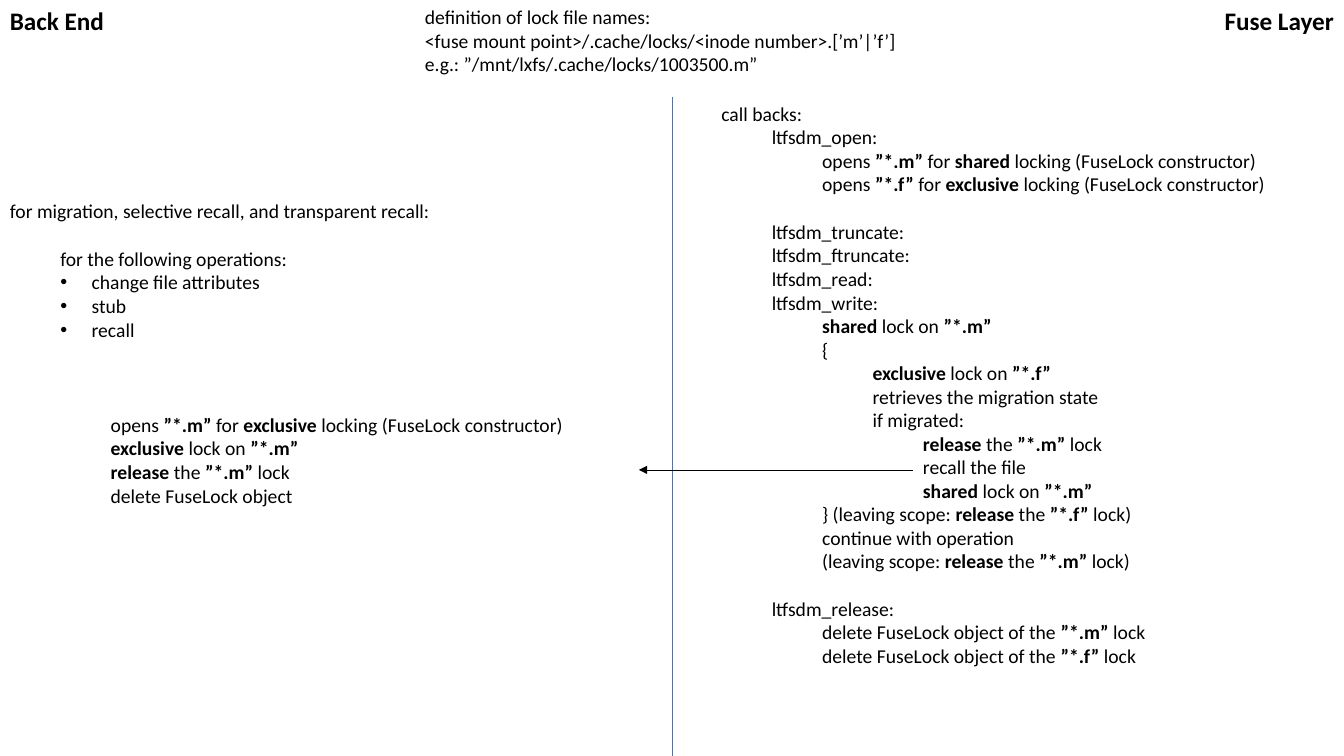
from dataclasses import dataclass

from pptx import Presentation
from pptx.dml.color import RGBColor
from pptx.enum.shapes import MSO_CONNECTOR as Link
from pptx.enum.text import MSO_AUTO_SIZE as Fit
from pptx.oxml.ns import qn
from pptx.oxml.xmlchemy import OxmlElement as Tag
from pptx.util import Cm, Pt

BLACK = RGBColor(0x00, 0x00, 0x00)
BLUE = RGBColor(0x44, 0x72, 0xC4)
FONT = "Calibri"
STEP = 1.27  # indent per level, cm
HANG = 0.79  # bullet indent, cm
ROW = 17.1  # height of one text row, pt
BOLD = "~"  # switches bold on and off


@dataclass
class Line:
    text: str
    level: int = 0
    gap: int = 0  # free rows above
    dot: bool = False


@dataclass
class Block:
    left: float
    top: float
    width: float
    height: float
    lines: list[Line]
    size: int = 14
    bold: bool = False
    wrap: bool = True


@dataclass
class Rule:
    start: tuple[float, float]
    end: tuple[float, float]
    color: RGBColor
    arrow: bool = False


BLOCKS = [
    # Headings
    Block(0, 0, 2.92, 1.02, [Line("Back End")], 18, True, False),
    Block(30.61, 0, 3.3, 1.02, [Line("Fuse Layer")], 18, True, False),
    # Lock file names
    Block(10.46, 0, 12.55, 2.06, [
        Line("definition of lock file names:"),
        Line("<fuse mount point>/.cache/locks/<inode number>.[’m’|’f’]"),
        Line("e.g.: ”/mnt/lxfs/.cache/locks/1003500.m”"),
    ]),
    # Fuse layer
    Block(17.93, 2.44, 15.95, 16.41, [
        Line("call backs:"),
        Line("ltfsdm_open:", 1),
        Line("opens ~”*.m”~ for ~shared~ locking (FuseLock constructor)", 2),
        Line("opens ~”*.f”~ for ~exclusive~ locking (FuseLock constructor)", 2),
        Line("ltfsdm_truncate:", 1, gap=1),
        Line("ltfsdm_ftruncate:", 1),
        Line("ltfsdm_read:", 1),
        Line("ltfsdm_write:", 1),
        Line("~shared~ lock on ~”*.m”", 2),
        Line("{", 2),
        Line("~exclusive ~lock on ~”*.f”", 3),
        Line("retrieves the migration state", 3),
        Line("if migrated:", 3),
        Line("~release~ the ~”*.m”~ lock", 4),
        Line("recall the file", 4),
        Line("~shared~ lock on ~”*.m”", 4),
        Line("} (leaving scope: ~release~ the ~”*.f” ~lock)", 2),
        Line("continue with operation", 2),
        Line("(leaving scope: ~release~ the ~”*.m”~ lock)", 2),
        Line("ltfsdm_release:", 1, gap=1),
        Line("delete FuseLock object of the ~”*.m” ~lock", 2),
        Line("delete FuseLock object of the ~”*.f”~ lock", 2),
    ]),
    # Back end
    Block(0, 4.9, 15.95, 9.25, [
        Line("for migration, selective recall, and transparent recall:"),
        Line("for the following operations:", 1, gap=1),
        Line("change file attributes", 1, dot=True),
        Line("stub", 1, dot=True),
        Line("recall", 1, dot=True),
        Line("opens ~”*.m”~ for ~exclusive ~locking (FuseLock constructor)", 2, gap=3),
        Line("~exclusive~ lock on ~”*.m”", 2),
        Line("~release~ the ~”*.m”~ lock", 2),
        Line("delete FuseLock object", 2),
    ]),
]

RULES = [
    Rule((16.94, 2.44), (16.94, 19.05), BLUE),
    Rule((23.01, 11.84), (16.1, 11.84), BLACK, arrow=True),
]


def add_line(para, line: Line, block: Block) -> None:
    """Fill one paragraph, run by run."""
    para.level = line.level
    hang = HANG if line.dot else 0
    props = para._p.get_or_add_pPr()
    props.set("marL", str(Cm(line.level * STEP + hang)))
    props.set("indent", str(Cm(-hang)))
    if line.gap:
        para.space_before = Pt(line.gap * ROW)
    if line.dot:
        face = Tag("a:buFont")
        face.set("typeface", "Arial")
        mark = Tag("a:buChar")
        mark.set("char", "•")
        props.extend([face, mark])
    for i, part in enumerate(line.text.split(BOLD)):
        if part:
            run = para.add_run()
            run.text = part
            run.font.name = FONT
            run.font.size = Pt(block.size)
            run.font.bold = block.bold or i % 2 == 1
            run.font.color.rgb = BLACK


def add_block(slide, block: Block) -> None:
    """Draw a text box with its lines."""
    box = slide.shapes.add_textbox(
        Cm(block.left), Cm(block.top), Cm(block.width), Cm(block.height))
    frame = box.text_frame
    frame.word_wrap = block.wrap
    frame.auto_size = Fit.SHAPE_TO_FIT_TEXT
    for i, line in enumerate(block.lines):
        para = frame.add_paragraph() if i else frame.paragraphs[0]
        add_line(para, line, block)


def add_rule(slide, rule: Rule) -> None:
    """Draw a thin line, with an arrowhead if wanted."""
    link = slide.shapes.add_connector(
        Link.STRAIGHT, *map(Cm, rule.start + rule.end))
    link.line.width = Pt(0.5)
    link.line.color.rgb = rule.color
    props = link._element.spPr
    if rule.arrow:
        head = Tag("a:tailEnd")
        head.set("type", "triangle")
        props.find(qn("a:ln")).append(head)
    props.append(Tag("a:effectLst"))


def main() -> None:
    deck = Presentation()
    deck.slide_width, deck.slide_height = Cm(33.87), Cm(19.05)
    slide = deck.slides.add_slide(deck.slide_layouts[6])
    for rule in RULES:
        add_rule(slide, rule)
    for block in BLOCKS:
        add_block(slide, block)
    deck.save("out.pptx")


if __name__ == "__main__":
    main()
